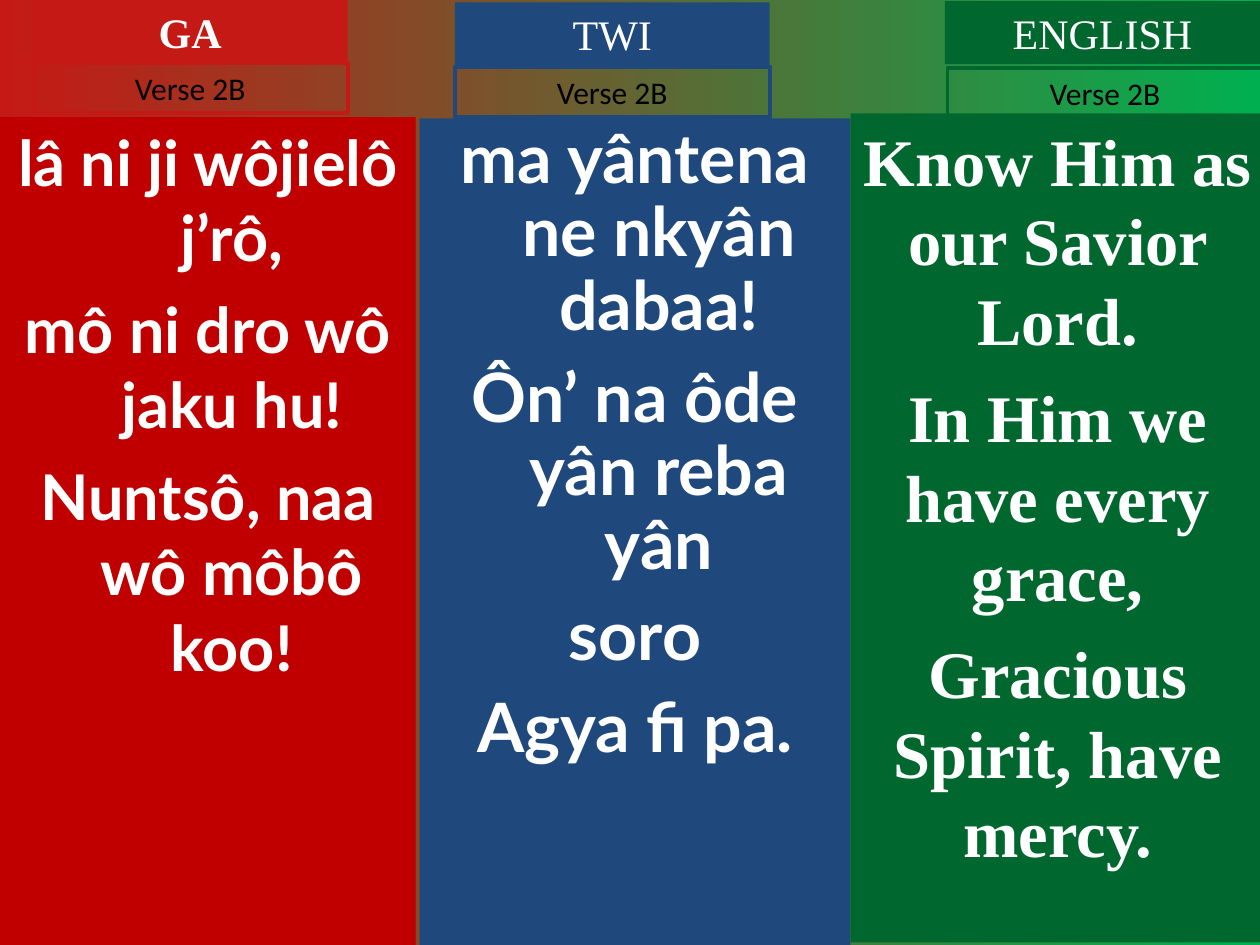
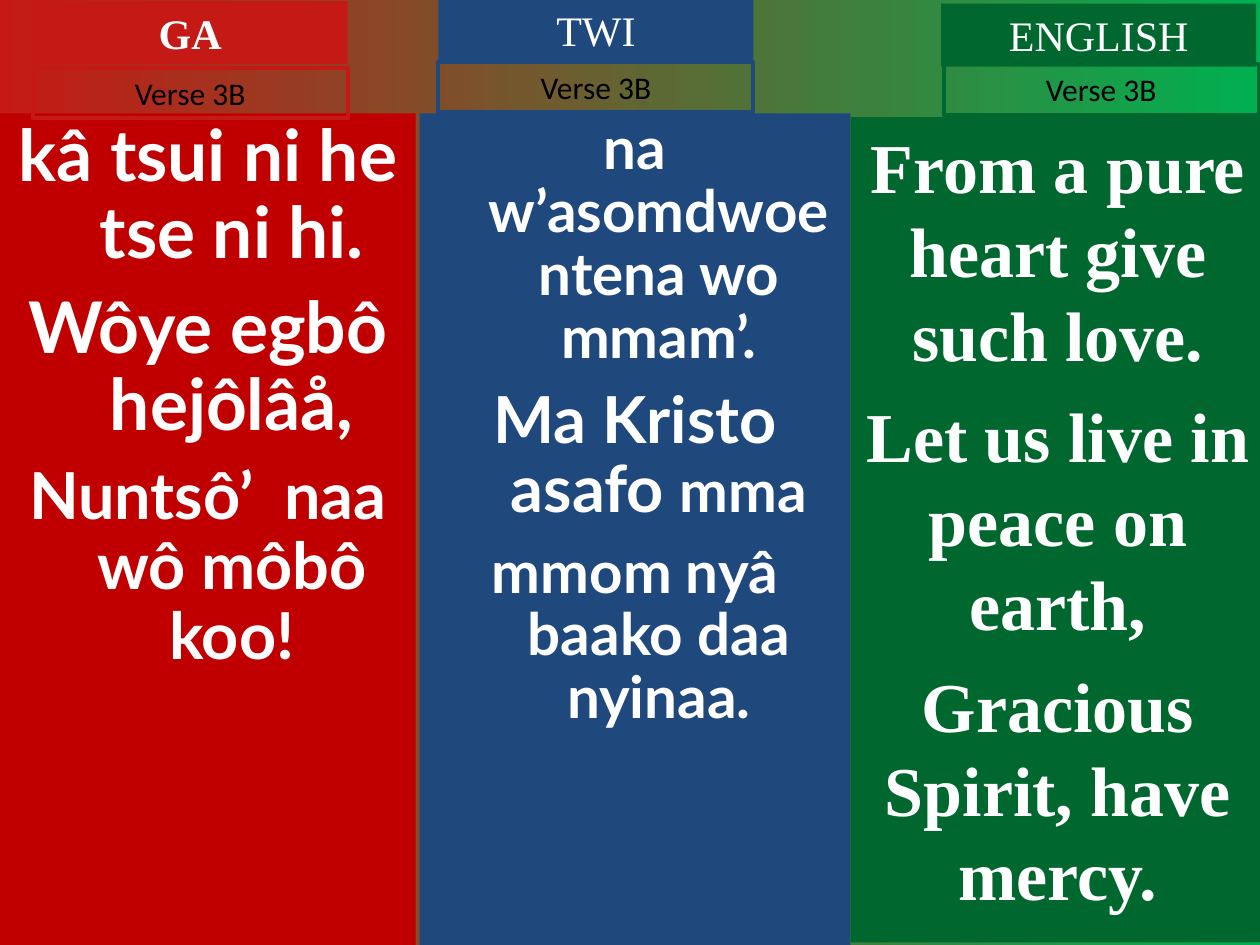
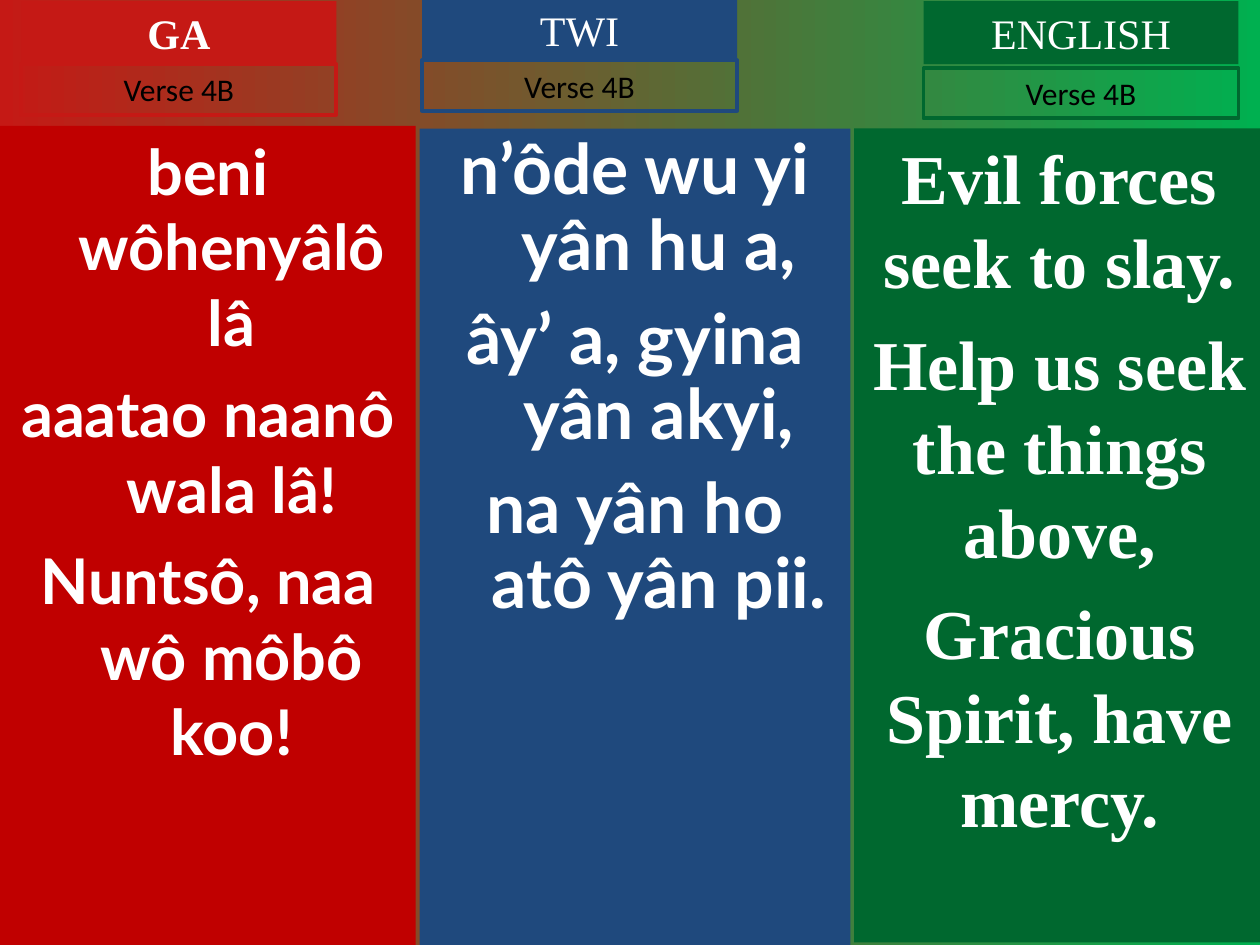
from dataclasses import dataclass

from pptx import Presentation
from pptx import util as u
from pptx.dml.color import RGBColor
from pptx.enum import shapes, text


@dataclass
class Language:
    name: str
    tab_color: str
    body_color: str
    font: str
    right: float
    bottom: float
    hang: float = 0
    bold_name: bool = False


@dataclass
class Lyrics:
    """One language's verse: places in inches, sizes and spacing in points."""
    body: tuple  # left, top
    tab: tuple
    label: tuple
    size: float
    gap: float
    lines: list  # each a string, or a list of (string, size) runs
    spacing: float = 1.0


WHITE, BLACK = "FFFFFF", "000000"
SERIF = "Times New Roman"
BACKGROUND = ("C51915", "00B050")
BOX_WIDTH, TAB_HEIGHT, LABEL_HEIGHT = 2.5, 0.5, 0.4

LANGUAGES = [
    Language("GA", "C51915", "C00000", "Lato", 3.3, 7.5, 0.38, True),
    Language("TWI", "1F497D", "1F497D", "Lato", 6.75, 7.5, 0.38),
    Language("ENGLISH", "00682F", "00682F", SERIF, 10.04, 7.48),
]
GA_REFRAIN = "Nuntsô, naa wô môbô koo!"
ENGLISH_REFRAIN = "Gracious Spirit, have mercy."

VERSES = {
    "Verse 2B": [
        Lyrics((0, 0.93), (0.26, 0), (0.26, 0.5), 36, 9,
               ["lâ ni ji wôjielô j’rô,", "mô ni dro wô jaku hu!", GA_REFRAIN]),
        Lyrics((3.33, 0.94), (3.61, 0.02), (3.61, 0.53), 38.9, 10.5,
               ["ma yântena ne nkyân dabaa!", "Ôn’ na ôde yân reba yân",
                "soro", "Agya fi pa."], 0.9),
        Lyrics((6.75, 0.9), (7.5, 0.01), (7.52, 0.54), 38, 9.5,
               ["Know Him as our Savior Lord.", "In Him we have every grace,",
                ENGLISH_REFRAIN]),
    ],
    "Verse 3B": [
        Lyrics((0, 0.9), (0.26, 0.01), (0.26, 0.54), 40.7, 10.5,
               ["kâ tsui ni he tse ni hi.", "Wôye egbô hejôlâå,",
                [("Nuntsô’  naa wô môbô koo!", 37)]], 0.9),
        Lyrics((3.33, 0.9), (3.48, -0.01), (3.48, 0.49), 33.3, 9,
               ["na w’asomdwoe ntena wo mmam’.",
                [("Ma Kristo asafo ", 37), ("mma", 33.3)],
                "mmom nyâ baako daa nyinaa."], 0.9),
        Lyrics((6.75, 0.93), (7.47, 0.03), (7.49, 0.51), 40, 10,
               ["From a pure heart give such love.",
                "Let us live in peace on earth,", ENGLISH_REFRAIN]),
    ],
    "Verse 4B": [
        Lyrics((0, 1), (0.17, 0.01), (0.17, 0.51), 36, 9,
               ["beni wôhenyâlô lâ", "aaatao naanô wala lâ!", GA_REFRAIN]),
        Lyrics((3.33, 1.02), (3.35, -0.01), (3.35, 0.48), 39.8, 10.7,
               ["n’ôde wu yi yân hu a,", "ây’ a, gyina yân akyi,",
                "na yân ho atô yân pii."], 0.9),
        Lyrics((6.78, 1.02), (7.33, 0.01), (7.33, 0.54), 40, 10,
               ["Evil forces seek to slay.", "Help us seek the things above,",
                ENGLISH_REFRAIN]),
    ],
}


def rgb(color):
    return RGBColor.from_string(color)


def add_box(s, left, top, width, height, fill=None, line=None):
    sp = s.shapes.add_shape(shapes.MSO_SHAPE.RECTANGLE, u.Inches(left),
                            u.Inches(top), u.Inches(width), u.Inches(height))
    sp.shadow.inherit = False
    if fill:
        sp.fill.solid()
        sp.fill.fore_color.rgb = rgb(fill)
    else:
        sp.fill.background()
    if line:
        sp.line.color.rgb = rgb(line)
        sp.line.width = u.Pt(2.25)
    else:
        sp.line.fill.background()
    return sp


def write(sp, lines, size, font, color=WHITE, bold=False, gap=0, spacing=1.0,
          hang=0, grow=False):
    """Fill a shape with centred paragraphs, top aligned."""
    tf = sp.text_frame
    tf.word_wrap = True
    tf.vertical_anchor = text.MSO_ANCHOR.TOP
    if grow:
        tf.auto_size = text.MSO_AUTO_SIZE.SHAPE_TO_FIT_TEXT
    for i, line in enumerate(lines):
        p = tf.add_paragraph() if i else tf.paragraphs[0]
        p.alignment = text.PP_ALIGN.CENTER
        p.line_spacing = spacing
        if i:
            p.space_before = u.Pt(gap)
        if hang:
            pPr = p._p.get_or_add_pPr()
            pPr.set("marL", str(u.Inches(hang)))
            pPr.set("indent", str(u.Inches(-hang)))
        for content, run_size in [(line, size)] if isinstance(line, str) else line:
            r = p.add_run()
            r.text = content
            r.font.size = u.Pt(run_size)
            r.font.name = font
            r.font.bold = bold
            r.font.color.rgb = rgb(color)


def paint_background(s):
    fill = s.background.fill
    fill.gradient()
    fill.gradient_angle = 0
    for stop, color in zip(fill.gradient_stops, BACKGROUND):
        stop.color.rgb = rgb(color)


def add_lyrics(s, lang, lyrics):
    left, top = lyrics.body
    sp = add_box(s, left, top, lang.right - left, lang.bottom - top,
                 fill=lang.body_color)
    write(sp, lyrics.lines, lyrics.size, lang.font, bold=True, gap=lyrics.gap,
          spacing=lyrics.spacing, hang=lang.hang)


def add_heading(s, lang, lyrics, verse):
    """Add the language tab and the outlined verse label below it."""
    tab = add_box(s, *lyrics.tab, BOX_WIDTH, TAB_HEIGHT, fill=lang.tab_color)
    write(tab, [lang.name], 24, SERIF, bold=lang.bold_name, grow=True)
    label = add_box(s, *lyrics.label, BOX_WIDTH, LABEL_HEIGHT, line=lang.tab_color)
    write(label, [verse], 18, "Calibri", color=BLACK, grow=True)


def main():
    prs = Presentation()
    prs.slide_width, prs.slide_height = u.Inches(10), u.Inches(7.5)
    for verse, columns in VERSES.items():
        s = prs.slides.add_slide(prs.slide_layouts[6])
        paint_background(s)
        for lang, lyrics in zip(LANGUAGES, columns):
            add_lyrics(s, lang, lyrics)
        for lang, lyrics in zip(LANGUAGES, columns):
            add_heading(s, lang, lyrics, verse)
    prs.save("out.pptx")


if __name__ == "__main__":
    main()
